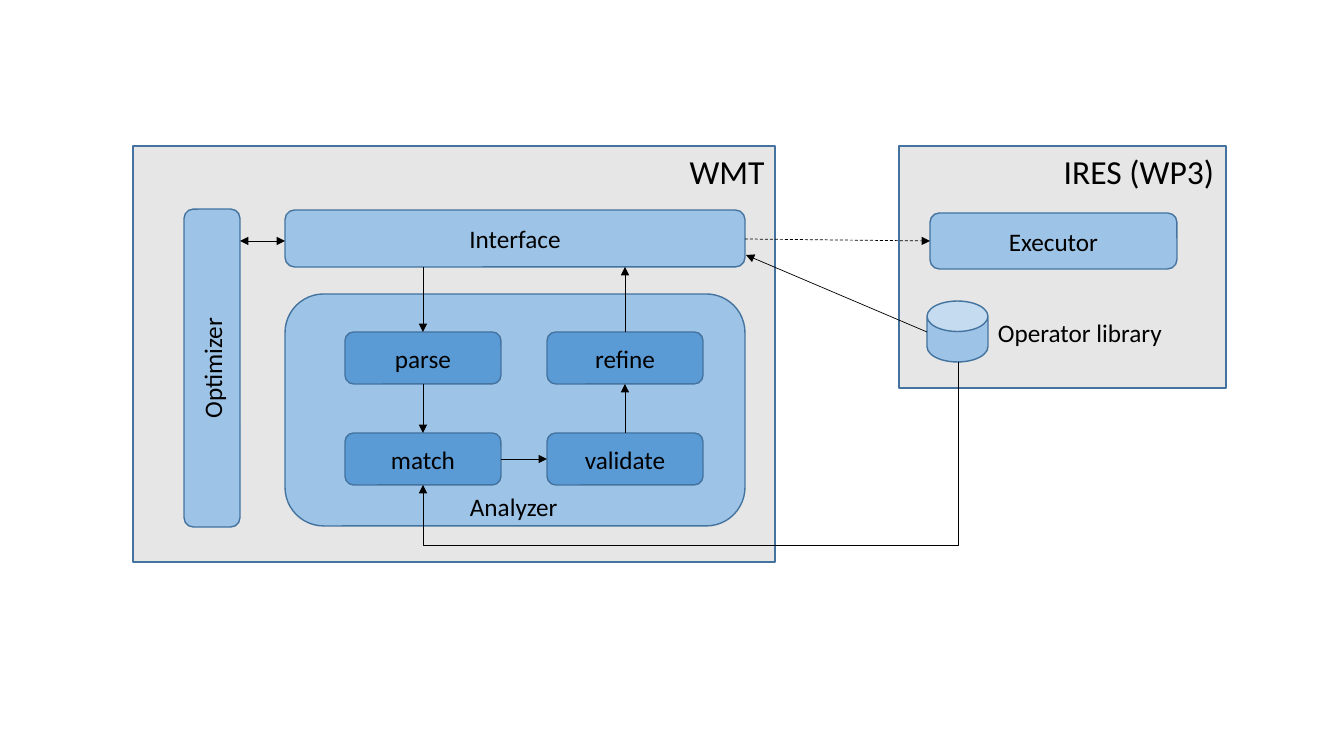
from dataclasses import dataclass
from typing import NamedTuple

from lxml import etree
from pptx import Presentation
from pptx import util as u
from pptx.dml.color import RGBColor
from pptx.enum import dml, shapes, text
from pptx.oxml import ns


@dataclass(frozen=True)
class Theme:
    font: str = "Calibri"
    ink: str = "000000"
    outline: str = "43739E"
    panel: str = "E7E6E6"
    component: str = "9DC3E6"
    step: str = "5B9BD5"
    body: int = 18
    heading: int = 24
    outline_width: float = 1
    arrow_width: float = 0.5


class Block(NamedTuple):
    left: float
    top: float
    width: float
    height: float
    fill: str
    caption: str = ""
    kind: shapes.MSO_SHAPE = shapes.MSO_SHAPE.ROUNDED_RECTANGLE
    rotation: int = 0


class Label(NamedTuple):
    left: float
    top: float
    width: float
    height: float
    caption: str
    size: int
    align: text.PP_ALIGN = text.PP_ALIGN.LEFT


class Arrow(NamedTuple):
    x1: float
    y1: float
    x2: float
    y2: float
    both_ends: bool = False
    dashed: bool = False


THEME = Theme()
EMU_PER_PIXEL = 914400 / 100.8


def px(pixels: float) -> u.Emu:
    return u.Emu(round(pixels * EMU_PER_PIXEL))


def write(frame, caption: str, size: int, align: text.PP_ALIGN) -> None:
    frame.text = caption
    paragraph = frame.paragraphs[0]
    paragraph.alignment = align
    font = paragraph.runs[0].font
    font.name = THEME.font
    font.size = u.Pt(size)
    font.color.rgb = RGBColor.from_string(THEME.ink)


def draw_block(slide, block: Block) -> None:
    body = slide.shapes.add_shape(block.kind, *map(px, block[:4]))
    body.shadow.inherit = False
    body.rotation = block.rotation
    body.fill.solid()
    body.fill.fore_color.rgb = RGBColor.from_string(block.fill)
    body.line.color.rgb = RGBColor.from_string(THEME.outline)
    body.line.width = u.Pt(THEME.outline_width)
    if block.kind == shapes.MSO_SHAPE.CAN:
        body.adjustments[0] = 0.5
    if block.caption:
        body.text_frame.vertical_anchor = text.MSO_ANCHOR.MIDDLE
        write(body.text_frame, block.caption, THEME.body, text.PP_ALIGN.CENTER)


def draw_label(slide, label: Label) -> None:
    frame = slide.shapes.add_textbox(*map(px, label[:4])).text_frame
    frame.word_wrap = False
    frame.auto_size = text.MSO_AUTO_SIZE.SHAPE_TO_FIT_TEXT
    write(frame, label.caption, label.size, label.align)


def draw_arrow(slide, arrow: Arrow, kind=shapes.MSO_CONNECTOR.STRAIGHT):
    link = slide.shapes.add_connector(kind, *map(px, arrow[:4]))
    link.line.color.rgb = RGBColor.from_string(THEME.ink)
    link.line.width = u.Pt(THEME.arrow_width)
    if arrow.dashed:
        link.line.dash_style = dml.MSO_LINE.DASH
    properties = link._element.spPr
    stroke = properties.find(ns.qn("a:ln"))
    for end in ("headEnd", "tailEnd") if arrow.both_ends else ("tailEnd",):
        etree.SubElement(stroke, ns.qn(f"a:{end}"), type="triangle")
    etree.SubElement(properties, ns.qn("a:effectLst"))
    return link


def draw_return_path(slide, route: Arrow, lowest: float) -> None:
    drop, run = route.y2 - route.y1, route.x1 - route.x2
    left = (route.x1 + route.x2 - drop) / 2
    top = (route.y1 + route.y2 - run) / 2
    turned = Arrow(left, top, left + drop, top + run)
    link = draw_arrow(slide, turned, shapes.MSO_CONNECTOR.ELBOW)
    properties = link._element.spPr
    properties.find(ns.qn("a:xfrm")).set("rot", "5400000")
    guides = properties.find(ns.qn("a:prstGeom")).get_or_add_avLst()
    bend = round((lowest - route.y1) / drop * 100000)
    etree.SubElement(guides, ns.qn("a:gd"), name="adj1", fmla=f"val {bend}")


STEP_WIDTH, STEP_HEIGHT = 156, 52
LEFT_STEP, RIGHT_STEP = 345, 547
UPPER_STEP, LOWER_STEP = 332, 433
DOWN_X = LEFT_STEP + STEP_WIDTH // 2
UP_X = RIGHT_STEP + STEP_WIDTH // 2
UPPER_END, LOWER_END = UPPER_STEP + STEP_HEIGHT, LOWER_STEP + STEP_HEIGHT
MATCH_Y = LOWER_STEP + STEP_HEIGHT // 2
INTERFACE_LEFT, INTERFACE_RIGHT, INTERFACE_END = 285, 745, 267
INTERFACE_WIDTH = INTERFACE_RIGHT - INTERFACE_LEFT

PANELS = [
    Block(133, 146, 642, 416, THEME.panel, kind=shapes.MSO_SHAPE.RECTANGLE),
    Block(899, 146, 327, 242, THEME.panel, kind=shapes.MSO_SHAPE.RECTANGLE),
]
COMPONENTS = [
    Block(927, 301, 61, 61, THEME.component, kind=shapes.MSO_SHAPE.CAN),
    Block(930, 213, 247, 56, THEME.component, "Executor"),
    Block(53, 340, 318, 56, THEME.component, "Optimizer", rotation=270),
    Block(INTERFACE_LEFT, 210, INTERFACE_WIDTH, 57, THEME.component, "Interface"),
    Block(INTERFACE_LEFT, 294, INTERFACE_WIDTH, 232, THEME.component),
]
STEPS = [
    Block(left, top, STEP_WIDTH, STEP_HEIGHT, THEME.step, caption)
    for left, top, caption in (
        (LEFT_STEP, UPPER_STEP, "parse"),
        (LEFT_STEP, LOWER_STEP, "match"),
        (RIGHT_STEP, LOWER_STEP, "validate"),
        (RIGHT_STEP, UPPER_STEP, "refine"),
    )
]
LABELS = [
    Label(679, 146, 96, 50, "WMT", THEME.heading, text.PP_ALIGN.CENTER),
    Label(1053, 146, 172, 50, "IRES (WP3)", THEME.heading, text.PP_ALIGN.CENTER),
    Label(988, 312, 185, 40, "Operator library", THEME.body),
    Label(460, 486, 109, 40, "Analyzer", THEME.body),
]
ARROWS = [
    Arrow(DOWN_X, INTERFACE_END, DOWN_X, UPPER_STEP),
    Arrow(DOWN_X, UPPER_END, DOWN_X, LOWER_STEP),
    Arrow(LEFT_STEP + STEP_WIDTH, MATCH_Y, RIGHT_STEP, MATCH_Y),
    Arrow(UP_X, LOWER_STEP, UP_X, UPPER_END),
    Arrow(UP_X, UPPER_STEP, UP_X, INTERFACE_END),
    Arrow(INTERFACE_LEFT, 241, 240, 241, both_ends=True),
    Arrow(927, 332, 746, 255),
    Arrow(INTERFACE_RIGHT, 239, 930, 241, dashed=True),
]
LIBRARY_TO_MATCH = Arrow(958, 362, DOWN_X, LOWER_END)


def main() -> None:
    deck = Presentation()
    deck.slide_width, deck.slide_height = px(1344), px(756)
    slide = deck.slides.add_slide(deck.slide_layouts[6])
    for block in PANELS + COMPONENTS + STEPS:
        draw_block(slide, block)
    for label in LABELS:
        draw_label(slide, label)
    for arrow in ARROWS:
        draw_arrow(slide, arrow)
    draw_return_path(slide, LIBRARY_TO_MATCH, lowest=545)
    deck.save("out.pptx")


main()
